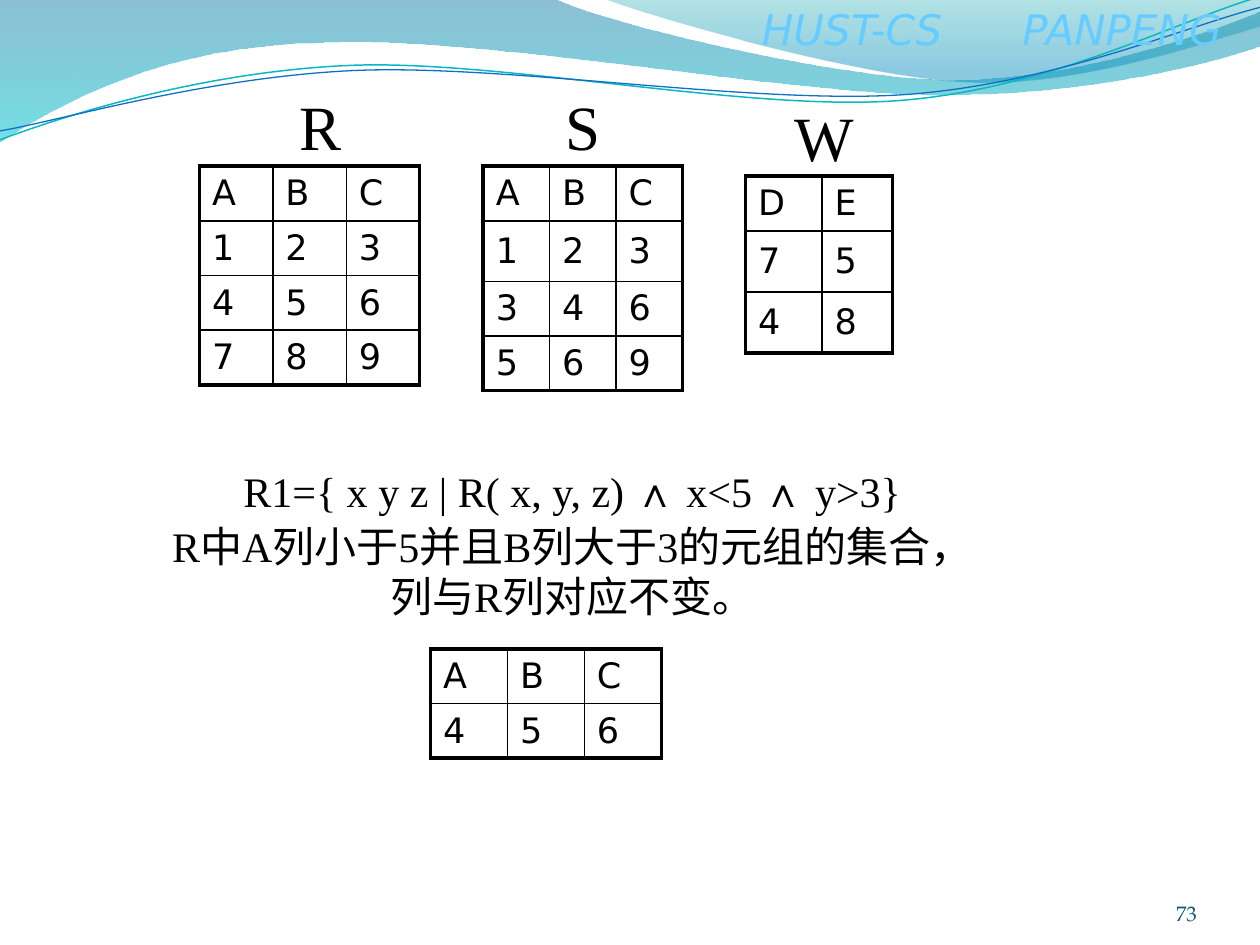
import pptx
import pptx.util
import pptx.dml.color
import pptx.enum.text
import pptx.oxml.ns
import lxml.etree

Cm, Pt = pptx.util.Cm, pptx.util.Pt
qn = pptx.oxml.ns.qn
ALIGN = pptx.enum.text.PP_ALIGN
ANCHOR = pptx.enum.text.MSO_ANCHOR
COLORS = {
    "text": "000000", "header": "66CCFF", "page": "045D75",
    "band_top": "0074A1", "band_bottom": "00C6CF",
    "sheen_top": "00A1A9", "sheen_bottom": "008BBF",
    "teal_line": "0AB8BF", "blue_line": "0F6FC6",
}
SANS, SERIF = "DejaVu Sans", "Times New Roman"

presentation = pptx.Presentation()
presentation.slide_width, presentation.slide_height = Cm(25.4), Cm(19.05)
slide = presentation.slides.add_slide(presentation.slide_layouts[6])


def add_curve(start, segments, close):
    """Outline in cm: two numbers are a straight line, six a cubic curve."""
    points = [(Cm(x), Cm(y)) for segment in segments
              for x, y in zip(segment[::2], segment[1::2])]
    builder = slide.shapes.build_freeform(Cm(start[0]), Cm(start[1]))
    builder.add_line_segments(points, close=close)
    shape = builder.convert_to_shape()
    shape.shadow.inherit = False
    # Join the three points of each curve into one cubic segment
    lines = iter(list(shape._element.iter(qn("a:lnTo"))))
    for segment in segments:
        first = next(lines)
        if len(segment) == 6:
            first.tag = qn("a:cubicBezTo")
            for _ in range(2):
                extra = next(lines)
                first.append(extra[0])
                extra.getparent().remove(extra)
    return shape


def style(font, name, size, color):
    font.name, font.size = name, Pt(size)
    font.color.rgb = pptx.dml.color.RGBColor.from_string(COLORS[color])


# Translucent waves along the top: stops are colour, position, opacity %
waves = [
    ((0, -0.03),
     [(11.18, -0.03), (12.09, 0.43, 16.87, 1.6, 19.25, 1.6),
      (21.67, 1.6, 24.33, 0.66, 25.4, 0.23), (25.43, 0.91),
      (24.97, 1.12, 22.1, 1.93, 18.95, 1.91), (15.8, 1.91, 9.7, 0.71, 6.53, 0.86),
      (3.28, 0.89, 1.17, 2.11, -0.03, 2.87), (0, -0.03)],
     [("band_top", 0, 45), ("band_bottom", 1, 55)]),
    ((12.17, -0.03),
     [(12.93, 0.28, 17.32, 1.57, 19.53, 1.65),
      (21.74, 1.75, 24.41, 0.81, 25.4, 0.53), (25.4, 0), (12.17, -0.03)],
     [("sheen_top", 0, 30), ("sheen_bottom", 0.8, 45)]),
]
for start, segments, stops in waves:
    shape = add_curve(start, segments, True)
    shape.line.fill.background()
    shape.fill.gradient()
    shape.fill.gradient_angle = 270
    for stop, (color, position, _) in zip(shape.fill.gradient_stops, stops):
        stop.color.rgb = pptx.dml.color.RGBColor.from_string(COLORS[color])
        stop.position = position
    for element, (_, _, opacity) in zip(shape._element.iter(qn("a:srgbClr")), stops):
        lxml.etree.SubElement(element, qn("a:alpha"), val=str(opacity * 1000))

# Thin lines following the waves
wave_lines = [
    ("teal_line", 0.85, (0, 2.82),
     [(1.22, 2.36, 4.01, 1.45, 7.04, 1.32), (10.03, 1.19, 15.06, 2.26, 18.11, 2.03),
      (21.16, 1.8, 23.83, 0.38, 25.35, -0.05)]),
    ("blue_line", 0.75, (0, 2.64),
     [(1.19, 2.44, 4.17, 1.55, 7.19, 1.42), (10.24, 1.3, 15.16, 2.11, 18.21, 1.91),
      (21.23, 1.7, 23.9, 0.53, 25.4, 0.15)]),
]
for color, width, start, segments in wave_lines:
    shape = add_curve(start, segments, False)
    shape.fill.background()
    shape.line.width = Pt(width)
    shape.line.color.rgb = pptx.dml.color.RGBColor.from_string(COLORS[color])

# Header, with a tab stop between its two parts
header = slide.shapes.add_textbox(Cm(15.11), Cm(-0.05), Cm(10.29), Cm(1.27)).text_frame
header.word_wrap = True
paragraph = header.paragraphs[0]
paragraph.text = "HUST-CS\tPANPENG"
tabs = lxml.etree.SubElement(paragraph._p.get_or_add_pPr(), qn("a:tabLst"))
lxml.etree.SubElement(tabs, qn("a:tab"), pos=str(Cm(5.25)), algn="l")
style(paragraph.font, SANS, 24, "header")
paragraph.font.italic = True

# Page number
page = slide.shapes.add_textbox(Cm(22.02), Cm(17.65), Cm(2.11), Cm(1.02)).text_frame
page.margin_left = page.margin_right = page.margin_top = page.margin_bottom = 0
page.word_wrap = True
page.vertical_anchor = ANCHOR.BOTTOM
paragraph = page.paragraphs[0]
paragraph.text = "73"
paragraph.alignment = ALIGN.RIGHT
style(paragraph.font, "TeX Gyre Pagella", 12, "page")

# Relation names
for name, left, top in [("R", 5.52, 1.64), ("S", 10.8, 1.64), ("W", 15.67, 1.86)]:
    frame = slide.shapes.add_textbox(Cm(left), Cm(top), Cm(1.9), Cm(1.78)).text_frame
    frame.word_wrap = True
    paragraph = frame.paragraphs[0]
    paragraph.text = name
    paragraph.alignment = ALIGN.CENTER
    style(paragraph.font, SERIF, 36, "text")

# Relations: left, top, column widths, row heights, one string per row
relations = [
    (4.02, 3.35, [1.48] * 3, [1.1] * 4, ["ABC", "123", "456", "789"]),
    (9.74, 3.35, [1.34] * 3, [1.1, 1.22, 1.1, 1.1], ["ABC", "123", "346", "569"]),
    (15.03, 3.55, [1.54, 1.42], [1.1, 1.23, 1.23], ["DE", "75", "48"]),
    (8.68, 13.08, [1.55] * 3, [1.1] * 2, ["ABC", "456"]),
]
for left, top, widths, heights, rows in relations:
    table = slide.shapes.add_table(len(heights), len(widths), Cm(left), Cm(top),
                                   Cm(sum(widths)), Cm(sum(heights))).table
    table.first_row = table.horz_banding = False
    for column, width in zip(table.columns, widths):
        column.width = Cm(width)
    for row, height in zip(table.rows, heights):
        row.height = Cm(height)
    for i, values in enumerate(rows):
        for j, value in enumerate(values):
            cell = table.cell(i, j)
            cell.text = value
            cell.vertical_anchor = ANCHOR.MIDDLE
            style(cell.text_frame.paragraphs[0].font, SANS, 20, "text")
            # Thick outer frame, thin inner rules
            outer = {"lnL": j == 0, "lnR": j == len(widths) - 1,
                     "lnT": i == 0, "lnB": i == len(heights) - 1}
            for side, thick in outer.items():
                border = lxml.etree.SubElement(cell._tc.get_or_add_tcPr(), qn("a:" + side),
                                               w=str(Pt(2.25 if thick else 1)))
                fill = lxml.etree.SubElement(border, qn("a:solidFill"))
                lxml.etree.SubElement(fill, qn("a:srgbClr"), val=COLORS["text"])
            cell.fill.background()

# Query and its meaning
query = slide.shapes.add_textbox(Cm(2.96), Cm(9.26), Cm(17.15), Cm(3.4)).text_frame
query.word_wrap = True
formula, meaning = query.paragraphs[0], query.add_paragraph()
for text, font_name in [("R1={ x y z | R( x, y, z) ", SERIF), ("∧ ", "Arial Narrow"),
                        ("x<5 ∧ y>3}", SERIF)]:
    run = formula.add_run()
    run.text = text
    run.font.name = font_name
meaning.text = "R中A列小于5并且B列大于3的元组的集合，列与R列对应不变。"
meaning.space_before = Pt(2.4)
for paragraph in query.paragraphs:
    paragraph.alignment = ALIGN.CENTER
    style(paragraph.font, SERIF, 24, "text")

presentation.save("out.pptx")
